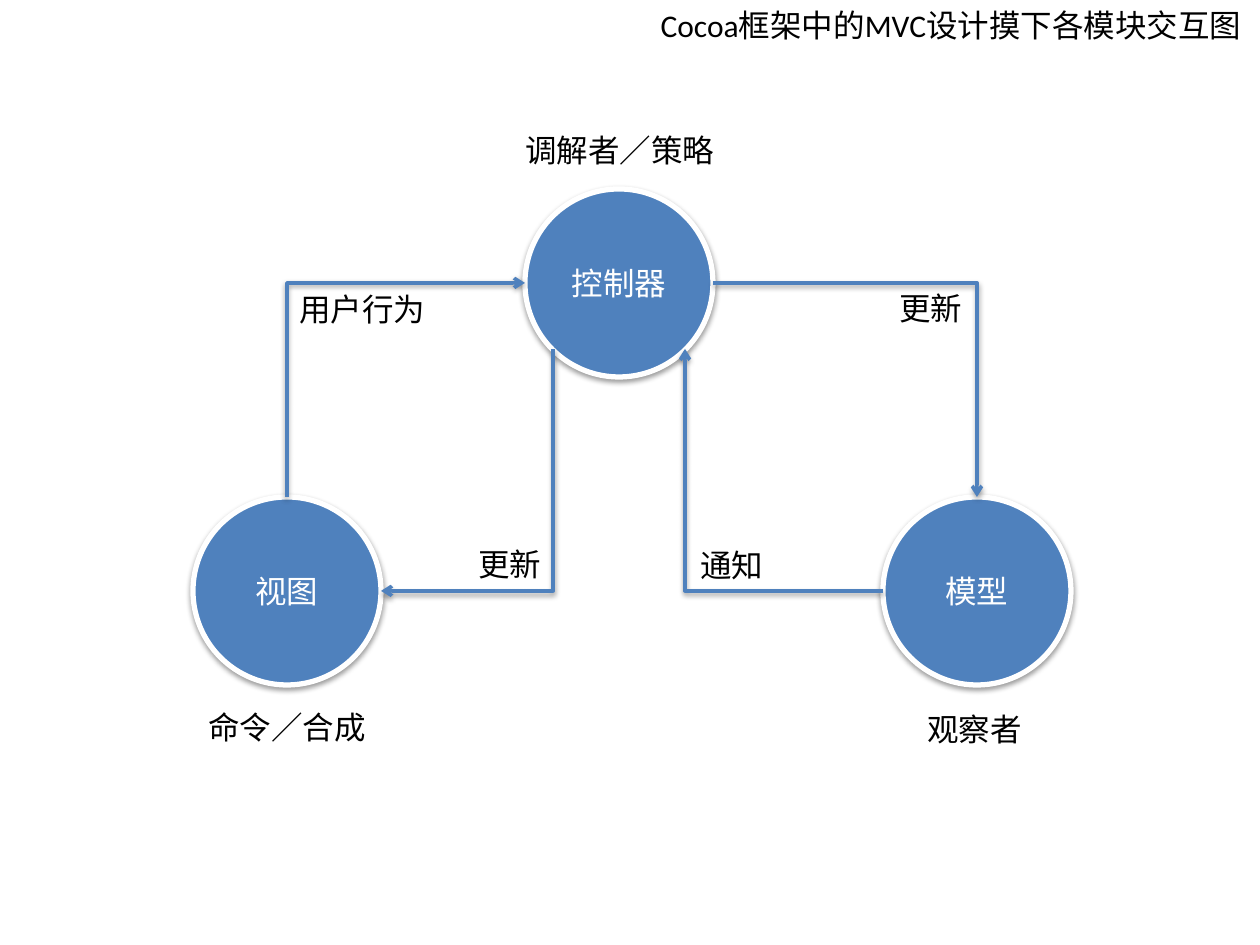
from lxml.etree import SubElement
from pptx import Presentation
from pptx.dml.color import RGBColor
from pptx.enum.shapes import MSO_CONNECTOR, MSO_SHAPE
from pptx.enum.text import MSO_ANCHOR, MSO_AUTO_SIZE, PP_ALIGN
from pptx.oxml.ns import qn
from pptx.util import Pt

SCALE = 914400 / 126  # EMU per pixel
COLORS = {"blue": "4F81BD", "white": "FFFFFF", "black": "000000"}


def px(*values):
    return [round(value * SCALE) for value in values]


def write(shape, text, color, align, anchor, wrap):
    frame = shape.text_frame
    frame.word_wrap = wrap
    frame.auto_size = MSO_AUTO_SIZE.NONE
    frame.vertical_anchor = anchor
    para = frame.paragraphs[0]
    para.alignment = align
    span = para.add_run()
    span.text = text
    span.font.size = Pt(18)
    span.font.name = "Calibri"
    span.font.color.rgb = RGBColor.from_string(COLORS[color])


deck = Presentation()
deck.slide_width, deck.slide_height = px(1260, 945)
page = deck.slides.add_slide(deck.slide_layouts[5])

# Title at the top right
title = page.shapes.title
title.left, title.top, title.width, title.height = px(648, 0, 612, 88)
write(title, "Cocoa框架中的MVC设计摸下各模块交互图", "black",
      PP_ALIGN.LEFT, MSO_ANCHOR.TOP, True)

# Module circles, given by their centres
RADIUS = 94
DIAGONAL = round(RADIUS * 0.5 ** 0.5)
controller, view, model = (619, 283), (287, 591), (977, 591)
shadowed = []
for (x, y), name in ((controller, "控制器"), (view, "视图"), (model, "模型")):
    circle = page.shapes.add_shape(
        MSO_SHAPE.OVAL, *px(x - RADIUS, y - RADIUS, 2 * RADIUS, 2 * RADIUS))
    circle.fill.solid()
    circle.fill.fore_color.rgb = RGBColor.from_string(COLORS["blue"])
    circle.line.color.rgb = RGBColor.from_string(COLORS["white"])
    circle.line.width = Pt(3)
    circle.shadow.inherit = False
    write(circle, name, "white", PP_ALIGN.CENTER, MSO_ANCHOR.MIDDLE, True)
    shadowed.append(circle)

# Elbow arrows: start, end, and whether the first leg is vertical
arrows = [
    ((view[0], view[1] - RADIUS), (controller[0] - RADIUS, controller[1]), True),
    ((controller[0] - DIAGONAL, controller[1] + DIAGONAL),
     (view[0] + RADIUS, view[1]), True),
    ((controller[0] + RADIUS, controller[1]), (model[0], model[1] - RADIUS), False),
    ((model[0] - RADIUS, model[1]),
     (controller[0] + DIAGONAL, controller[1] + DIAGONAL), False),
]
for (x1, y1), (x2, y2), vertical_first in arrows:
    if vertical_first:  # lay the elbow out unturned, then turn it by 90 degrees
        middle_x, middle_y = (x1 + x2) / 2, (y1 + y2) / 2
        half_x, half_y = (x2 - x1) / 2, (y2 - y1) / 2
        x1, x2 = middle_x - half_y, middle_x + half_y
        y1, y2 = middle_y + half_x, middle_y - half_x
    arrow = page.shapes.add_connector(MSO_CONNECTOR.ELBOW, *px(x1, y1, x2, y2))
    arrow.line.color.rgb = RGBColor.from_string(COLORS["blue"])
    arrow.line.width = Pt(2)
    properties = arrow._element.spPr
    properties.find(qn("a:prstGeom")).set("prst", "bentConnector2")
    if vertical_first:
        properties.find(qn("a:xfrm")).set("rot", "5400000")
    SubElement(properties.find(qn("a:ln")), qn("a:tailEnd"), type="arrow")
    SubElement(properties, qn("a:effectLst"))
    shadowed.append(arrow)

# Soft shadow below circles and arrows
for shape in shadowed:
    effects = shape._element.spPr.find(qn("a:effectLst"))
    shadow = SubElement(effects, qn("a:outerShdw"), blurRad="40000",
                        dist="20000", dir="5400000", rotWithShape="0")
    shade = SubElement(shadow, qn("a:srgbClr"), val=COLORS["black"])
    SubElement(shade, qn("a:alpha"), val="38000")

# Labels: left, top, width
labels = [
    ("用户行为", 287, 284, 152),
    ("更新", 887, 283, 90),
    ("更新", 466, 539, 90),
    ("通知", 688, 540, 90),
    ("命令／合成", 196, 702, 184),
    ("观察者", 915, 704, 121),
    ("调解者／策略", 513, 125, 217),
]
for text, left, top, width in labels:
    box = page.shapes.add_textbox(*px(left, top, width, 51))
    write(box, text, "black", PP_ALIGN.LEFT, MSO_ANCHOR.TOP, False)

deck.save("out.pptx")
